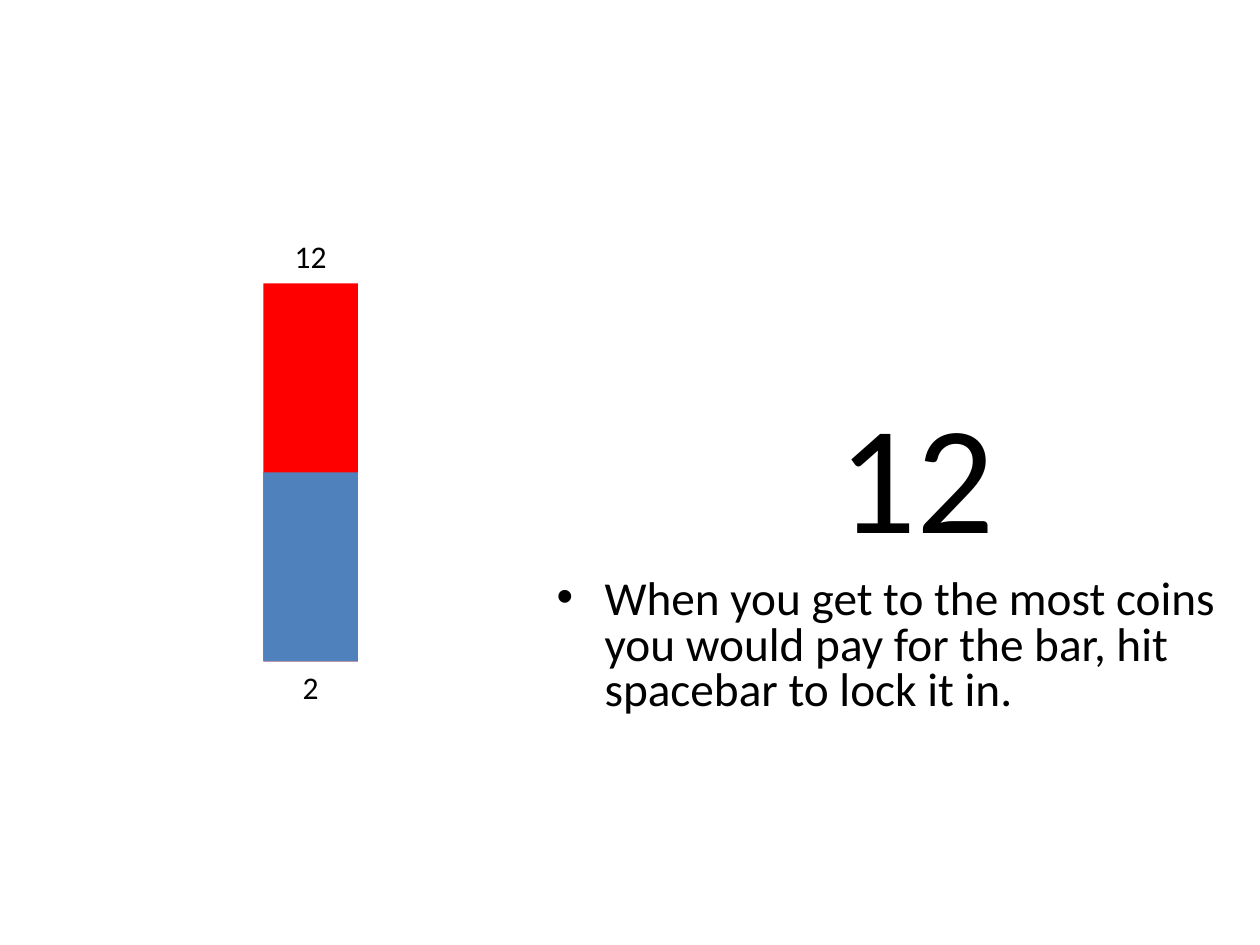
from dataclasses import dataclass
from lxml.etree import SubElement as Sub
from pptx import Presentation as Deck
from pptx.dml.color import RGBColor as Color
from pptx.enum.shapes import MSO_SHAPE as Kind
from pptx.enum.text import MSO_AUTO_SIZE as Fit, PP_ALIGN as Align
from pptx.oxml.ns import qn
from pptx.util import Inches, Pt


@dataclass(frozen=True)
class Theme:
    face: str = "Calibri"
    ink: str = "000000"
    red: str = "FF0000"
    blue: str = "4F81BD"
    label: int = 18
    body: int = 27
    count: int = 88


THEME = Theme()
UNIT = 0.75
LEFT, TOP = 2.09, 2.25
ROWS = 4
GAP = 0.42


def apply(item, form):
    for name, value in form.items():
        setattr(item, name, value)


def place(*box):
    return [Inches(size) for size in box]


def bar(group, row, rows, color):
    box = place(LEFT, TOP + row * UNIT, UNIT, rows * UNIT)
    shape = group.shapes.add_shape(Kind.RECTANGLE, *box)
    shape.shadow.inherit = False
    shape.fill.solid()
    shape.fill.fore_color.rgb = Color.from_string(color)
    shape.line.fill.background()


def text(owner, box, words, size, wrap=True, **form):
    frame = owner.shapes.add_textbox(*place(*box)).text_frame
    apply(frame, {"word_wrap": wrap, "auto_size": Fit.NONE})
    para = frame.paragraphs[0]
    apply(para, form)
    run = para.add_run()
    run.text = words
    apply(run.font, {"size": Pt(size), "name": THEME.face})
    run.font.color.rgb = Color.from_string(THEME.ink)
    return para


def bullet(para, indent):
    props = para._p.get_or_add_pPr()
    props.set("marL", str(Inches(indent)))
    props.set("indent", str(-Inches(indent)))
    color = Sub(props, qn("a:buClr"))
    Sub(color, qn("a:srgbClr"), val=THEME.ink)
    Sub(props, qn("a:buFont"), typeface="Arial")
    Sub(props, qn("a:buChar"), char="•")


def scale(slide):
    group = slide.shapes.add_group_shape()
    bar(group, 0, ROWS, THEME.red)
    bar(group, ROWS / 2, ROWS / 2, THEME.blue)
    for words, top in (("12", TOP - GAP), ("2", TOP + ROWS * UNIT)):
        box = LEFT, top, UNIT, 0.4
        text(group, box, words, THEME.label, alignment=Align.CENTER)


def main():
    deck = Deck()
    apply(deck, {"slide_width": Inches(10), "slide_height": Inches(7.5)})
    slide = deck.slides.add_slide(deck.slide_layouts[6])
    scale(slide)
    text(slide, (6.56, 2.96, 1.78, 1.57), "12", THEME.count)
    para = text(
        slide, (4.32, 4.55, 5.5, 1.28),
        "When you get to the most coins you would pay for the bar, "
        "hit spacebar to lock it in.",
        THEME.body, line_spacing=0.8, space_before=Pt(6.8),
    )
    bullet(para, 0.38)
    deck.save("out.pptx")


if __name__ == "__main__":
    main()
